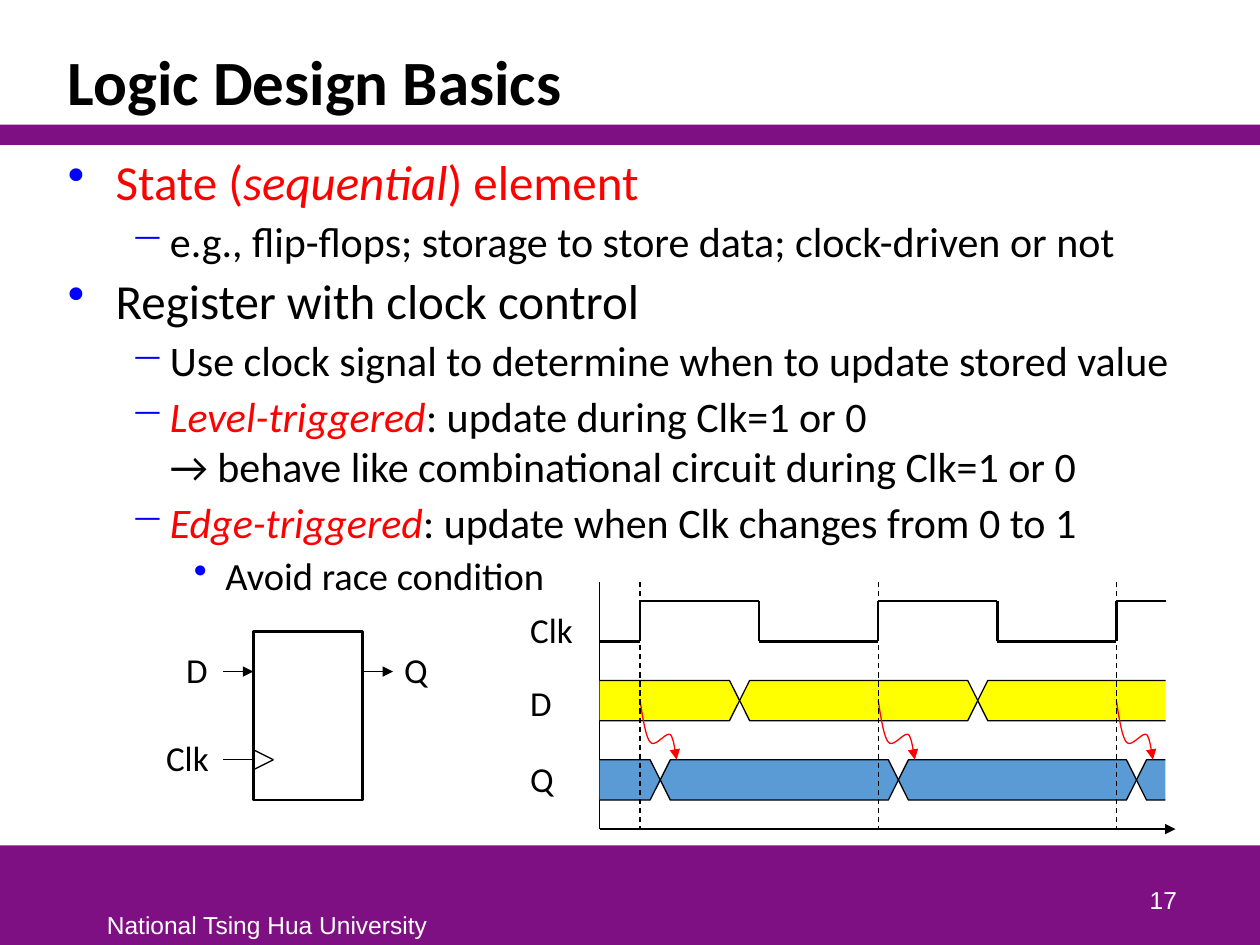
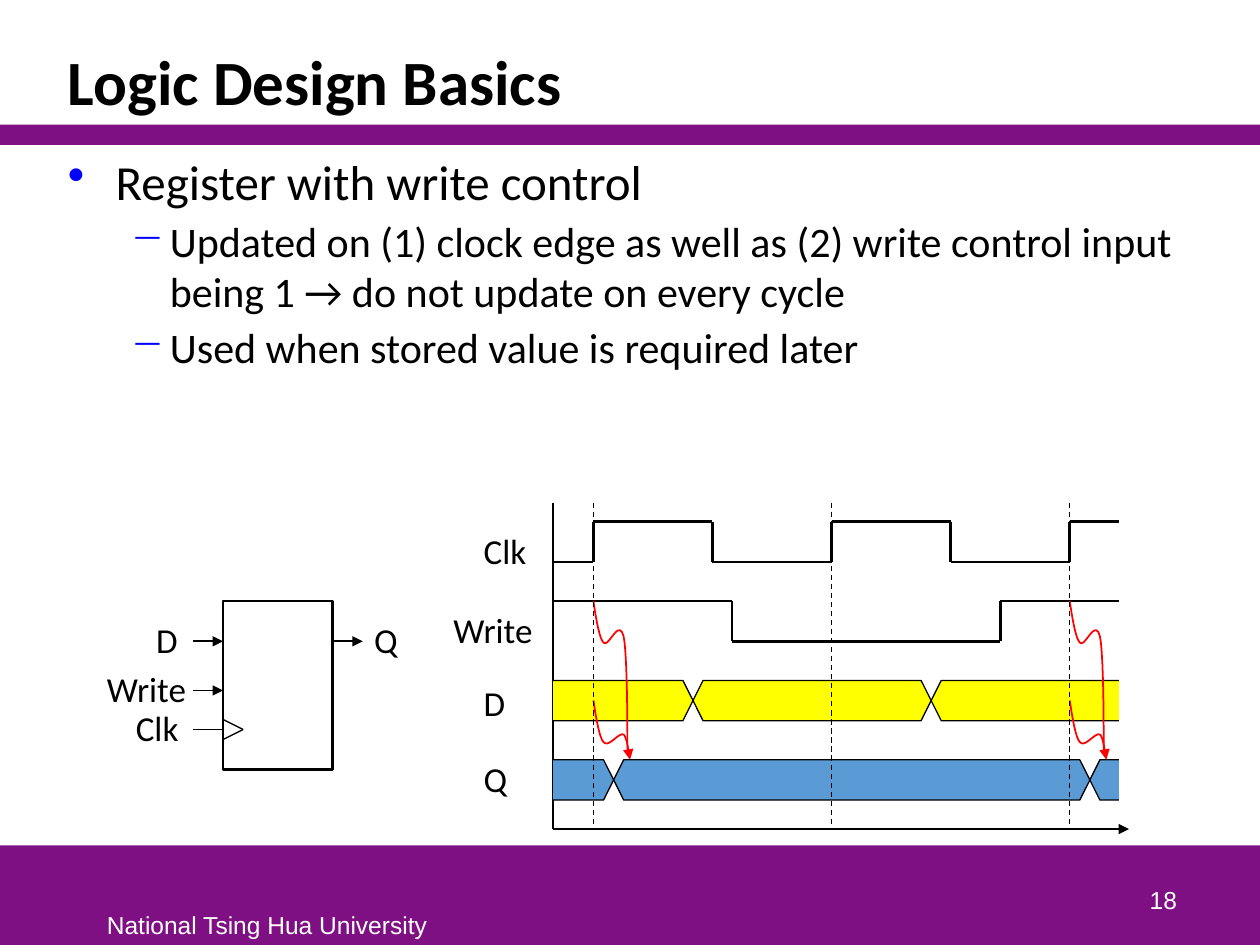
from itertools import pairwise

from lxml.etree import SubElement
from pptx import Presentation
from pptx.dml.color import RGBColor
from pptx.enum.dml import MSO_LINE
from pptx.enum.shapes import MSO_CONNECTOR, MSO_SHAPE
from pptx.enum.text import MSO_ANCHOR, MSO_AUTO_SIZE, PP_ALIGN
from pptx.oxml.ns import qn
from pptx.util import Inches, Pt

PURPLE = RGBColor(0x7F, 0x10, 0x84)
WHITE = RGBColor(0xFF, 0xFF, 0xFF)
BLACK = RGBColor(0, 0, 0)
RED = RGBColor(0xFF, 0, 0)
YELLOW = RGBColor(0xFF, 0xFF, 0)
BLUE = RGBColor(0x5B, 0x9B, 0xD5)
BULLET_BLUE = RGBColor(0, 0, 0xFF)

TITLE_FONT = {"name": "Calibri", "size": Pt(36), "bold": True}
LABEL_FONT = {"name": "Calibri", "size": Pt(20)}
FOOTER_FONT = {"name": "Arial", "size": Pt(14)}
FIXED = {"word_wrap": True}
FIXED_BOTTOM = {"word_wrap": True, "vertical_anchor": MSO_ANCHOR.BOTTOM}
GROWING = {"word_wrap": False, "auto_size": MSO_AUTO_SIZE.SHAPE_TO_FIT_TEXT}

LEVELS = [
    {"size": 28, "margin": 0.38, "hang": 0.38, "bullet": "•"},
    {"size": 24, "margin": 0.81, "hang": 0.31, "bullet": "−"},
    {"size": 22, "margin": 1.25, "hang": 0.25, "bullet": "•"},
]

LABEL_WIDTHS = {"D": 0.37, "Q": 0.39, "Clk": 0.54, "Write": 0.84}
LABEL_HEIGHT = 0.44

SWING = 0.32
FIRST_EDGE = 0.32
PERIOD = 1.89
DURATION = 4.49
BEVEL = 0.08
RISING_EDGES = [FIRST_EDGE + PERIOD * cycle for cycle in range(3)]
CLOCK_EDGES = [FIRST_EDGE + PERIOD / 2 * half for half in range(5)]
D_CHANGES = [1.11, 3.0]
D_TOP, Q_TOP = 5.4, 6.03
TIME_AXIS = 6.58

D_TO_Q = [(0, 0), (0.01, 0.06), (0.04, 0.29), (0.08, 0.33), (0.12, 0.38),
          (0.2, 0.25), (0.24, 0.27), (0.27, 0.3), (0.28, 0.43), (0.29, 0.47)]
WRITE_TO_Q = [(0, 0), (0.01, 0.06), (0.04, 0.29), (0.08, 0.33), (0.12, 0.38),
              (0.2, 0.13), (0.24, 0.28), (0.27, 0.42), (0.27, 1.01), (0.27, 1.2)]


def apply(target, values):
    for attribute, value in values.items():
        setattr(target, attribute, value)


def add_run(paragraph, text, font, color):
    run = paragraph.add_run()
    run.text = text
    apply(run.font, font)
    run.font.color.rgb = color


def add_text(slide, area, text, font, color=BLACK, frame=GROWING, paragraph_format=None):
    text_frame = slide.shapes.add_textbox(*map(Inches, area)).text_frame
    apply(text_frame, frame)
    paragraph = text_frame.paragraphs[0]
    apply(paragraph, paragraph_format or {})
    add_run(paragraph, text, font, color)


def add_label(slide, left, middle, text):
    area = (left, middle - LABEL_HEIGHT / 2, LABEL_WIDTHS[text], LABEL_HEIGHT)
    add_text(slide, area, text, LABEL_FONT)


def add_band(slide, top, height):
    band = slide.shapes.add_shape(
        MSO_SHAPE.RECTANGLE, 0, Inches(top), Inches(10), Inches(height))
    band.shadow.inherit = False
    band.fill.solid()
    band.fill.fore_color.rgb = PURPLE
    band.line.fill.background()


def add_bullets(slide, items):
    frame = slide.shapes.add_textbox(*map(Inches, (0.44, 1.15, 9.12, 5.53))).text_frame
    apply(frame, FIXED)
    for index, (level, parts) in enumerate(items):
        paragraph = frame.add_paragraph() if index else frame.paragraphs[0]
        style = LEVELS[level]
        apply(paragraph, {"level": level, "space_before": Pt(3)})
        properties = paragraph._p.get_or_add_pPr()
        properties.set("marL", str(Inches(style["margin"])))
        properties.set("indent", str(-Inches(style["hang"])))
        bullet_color = SubElement(properties, qn("a:buClr"))
        SubElement(bullet_color, qn("a:srgbClr"), val=str(BULLET_BLUE))
        SubElement(properties, qn("a:buChar"), char=style["bullet"])
        for text, color, italic in parts:
            font = {"name": "Calibri", "size": Pt(style["size"]), "italic": italic}
            for line_number, line in enumerate(text.split("\n")):
                if line_number:
                    paragraph.add_line_break()
                add_run(paragraph, line, font, color)


def style_line(line, color, width, arrow=False):
    line.color.rgb = color
    line.width = Pt(width)
    if arrow:
        SubElement(line._get_or_add_ln(), qn("a:tailEnd"), type="triangle")


def add_line(slide, start, end, width=0.75, arrow=False, dashed=False):
    line = slide.shapes.add_connector(
        MSO_CONNECTOR.STRAIGHT, *map(Inches, (*start, *end)))
    if dashed:
        line.line.dash_style = MSO_LINE.DASH
    style_line(line.line, BLACK, width, arrow)
    SubElement(line._element.spPr, qn("a:effectLst"))


def add_outline(slide, points, closed=False):
    corners = [(Inches(x), Inches(y)) for x, y in points]
    builder = slide.shapes.build_freeform(*corners[0])
    builder.add_line_segments(corners[1:], close=closed)
    outline = builder.convert_to_shape()
    outline.shadow.inherit = False
    return outline


def add_signal(slide, left, top, edges, high):
    x, level = left, top if high else top + SWING
    for edge in edges:
        next_level = 2 * top + SWING - level
        add_line(slide, (x, level), (left + edge, level), 1.5)
        add_line(slide, (left + edge, level), (left + edge, next_level), 1.5)
        x, level = left + edge, next_level
    add_line(slide, (x, level), (left + DURATION, level), 1.5)


def add_bus(slide, left, top, changes, color):
    middle, bottom = top + SWING / 2, top + SWING
    for start, end in pairwise([0, *changes, DURATION]):
        x1, x2 = left + start, left + end
        opening = [(x1, middle), (x1 + BEVEL, top)]
        closing = [(x2 - BEVEL, top), (x2, middle), (x2 - BEVEL, bottom)]
        if start == 0:
            points = [(x1, top), *closing, (x1, bottom)]
        elif end == DURATION:
            points = [(x2, top), opening[1], opening[0], (x1 + BEVEL, bottom), (x2, bottom)]
        else:
            points = [*opening, *closing, (x1 + BEVEL, bottom)]
        segment = add_outline(slide, points, closed=0 < start and end < DURATION)
        segment.fill.solid()
        segment.fill.fore_color.rgb = color
        style_line(segment.line, BLACK, 0.75)


def bezier(a, b, c, d, t):
    s = 1 - t
    return tuple(s**3 * p + 3 * s * s * t * q + 3 * s * t * t * r + t**3 * u
                 for p, q, r, u in zip(a, b, c, d))


def add_cause(slide, left, top, controls, width, arrow):
    steps = 10
    curve = [controls[0]]
    for first in range(0, len(controls) - 1, 3):
        curve += [bezier(*controls[first:first + 4], step / steps)
                  for step in range(1, steps + 1)]
    cause = add_outline(slide, [(left + x, top + y) for x, y in curve])
    cause.fill.background()
    style_line(cause.line, RED, width, arrow)


def add_register(slide, left, top, has_write=False):
    width, clock = 0.87, top + 1.02
    body = slide.shapes.add_shape(
        MSO_SHAPE.RECTANGLE, *map(Inches, (left, top, width, 1.34)))
    body.shadow.inherit = False
    body.fill.background()
    style_line(body.line, BLACK, 1.5)
    pins = [("D", 0.32, -0.24, -0.63), ("Q", 0.32, width, width + 0.23)]
    if has_write:
        pins.append(("Write", 0.71, -0.24, -1.02))
    for name, drop, pin, label in pins:
        y = top + drop
        add_line(slide, (left + pin, y), (left + pin + 0.24, y), 1, arrow=True)
        add_label(slide, left + label, y - 0.01, name)
    add_line(slide, (left - 0.24, clock), (left, clock))
    add_label(slide, left - 0.79, clock - 0.01, "Clk")
    for offset in (-0.08, 0.08):
        add_line(slide, (left, clock + offset), (left + 0.16, clock))


def add_timing(slide, left, clock_top, q_changes, causes, cause_width, write_top=None):
    axis_top = clock_top - 0.15
    label_left = left - 0.65
    add_signal(slide, left, clock_top, CLOCK_EDGES, high=False)
    add_label(slide, label_left, clock_top + 0.23, "Clk")
    if write_top:
        add_signal(slide, left, write_top, [1.42, 3.55], high=True)
        add_label(slide, left - 0.89, write_top + 0.23, "Write")
    add_line(slide, (left, TIME_AXIS), (left + 4.57, TIME_AXIS), arrow=True)
    add_line(slide, (left, TIME_AXIS), (left, axis_top))
    for name, top, middle, changes, color in [
            ("D", D_TOP, 5.58, D_CHANGES, YELLOW), ("Q", Q_TOP, 6.18, q_changes, BLUE)]:
        add_label(slide, label_left, middle, name)
        add_bus(slide, left, top, changes, color)
    for edge in causes:
        add_cause(slide, left + edge, D_TOP + SWING / 2, D_TO_Q, cause_width, True)
        if write_top:
            add_cause(slide, left + edge, write_top, WRITE_TO_Q, cause_width, False)
    for edge in RISING_EDGES:
        add_line(slide, (left + edge, axis_top), (left + edge, TIME_AXIS), dashed=True)


def add_lecture_slide(deck, number, items):
    slide = deck.slides.add_slide(deck.slide_layouts[6])
    add_band(slide, 6.71, 0.79)
    add_band(slide, 0.99, 0.16)
    add_text(slide, (0.75, 7.17, 2.76, 0.33), "National Tsing Hua University",
             FOOTER_FONT, WHITE)
    add_text(slide, (0.44, 0.25, 9.12, 0.74), "Logic Design Basics", TITLE_FONT,
             frame=FIXED_BOTTOM, paragraph_format={"line_spacing": 0.85})
    add_bullets(slide, items)
    add_text(slide, (7.36, 6.81, 2.08, 0.5), str(number), FOOTER_FONT, WHITE,
             FIXED_BOTTOM, {"alignment": PP_ALIGN.RIGHT})
    return slide


def plain(text):
    return [(text, BLACK, False)]


def main():
    deck = Presentation()
    apply(deck, {"slide_width": Inches(10), "slide_height": Inches(7.5)})

    clock_control = add_lecture_slide(deck, 17, [
        (0, [("State (", RED, False), ("sequential", RED, True), (") element", RED, False)]),
        (1, plain("e.g., flip-flops; storage to store data; clock-driven or not")),
        (0, plain("Register with clock control")),
        (1, plain("Use clock signal to determine when to update stored value")),
        (1, [("Level-triggered", RED, True),
             *plain(": update during Clk=1 or 0\n"
                    "→ behave like combinational circuit during Clk=1 or 0")]),
        (1, [("Edge-triggered", RED, True),
             *plain(": update when Clk changes from 0 to 1")]),
        (2, plain("Avoid race condition")),
    ])
    add_register(clock_control, 2.01, 5.01)
    q_changes = [edge + 0.16 for edge in RISING_EDGES]
    add_timing(clock_control, 4.76, 4.77, q_changes, RISING_EDGES, 0.75)

    write_control = add_lecture_slide(deck, 18, [
        (0, plain("Register with write control")),
        (1, plain("Updated on (1) clock edge as well as (2) write control input "
                  "being 1 → do not update on every cycle")),
        (1, plain("Used when stored value is required later")),
    ])
    add_register(write_control, 1.77, 4.77, has_write=True)
    add_timing(write_control, 4.39, 4.14, q_changes[::2], RISING_EDGES[::2], 1,
               write_top=4.77)

    deck.save("out.pptx")


if __name__ == "__main__":
    main()
